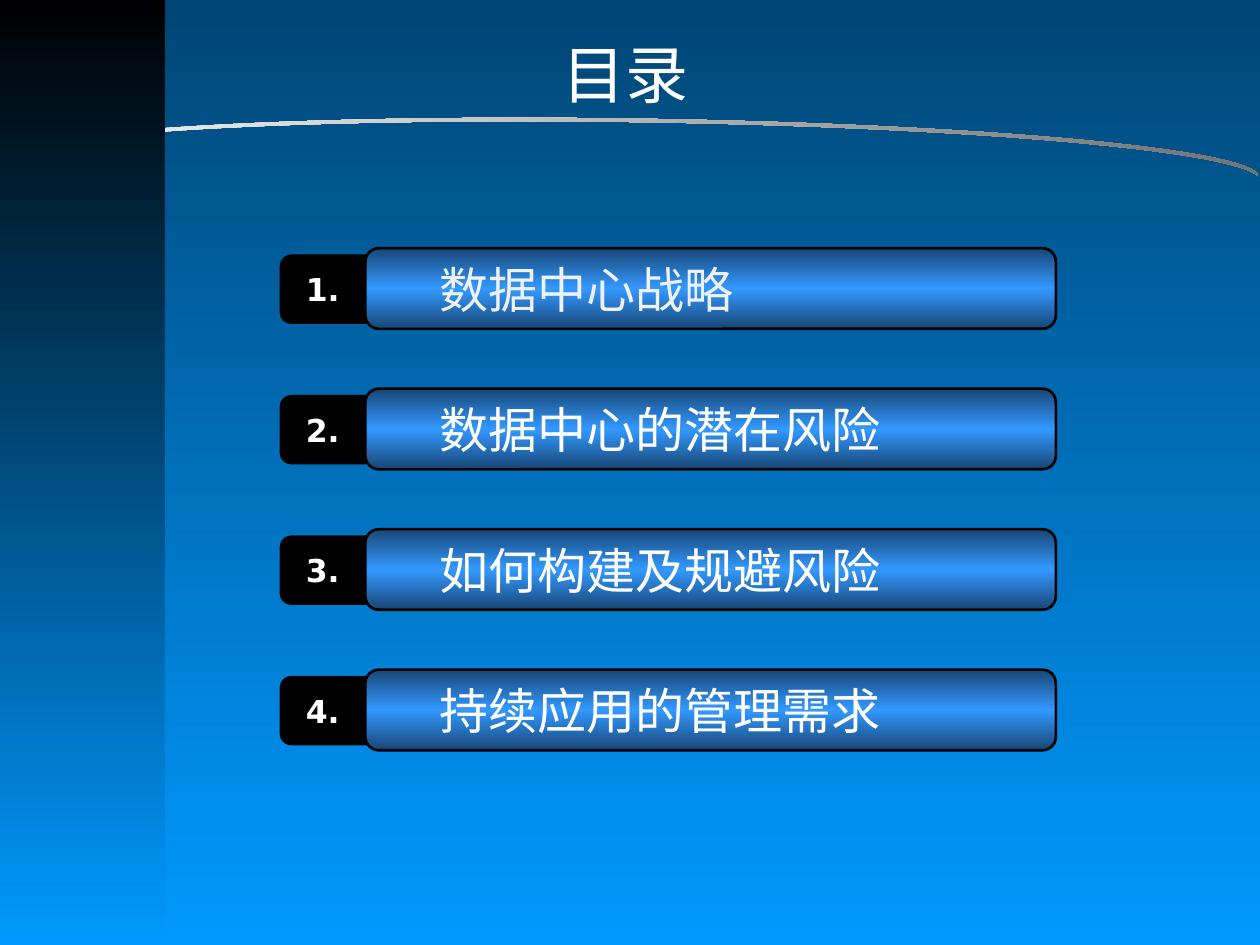
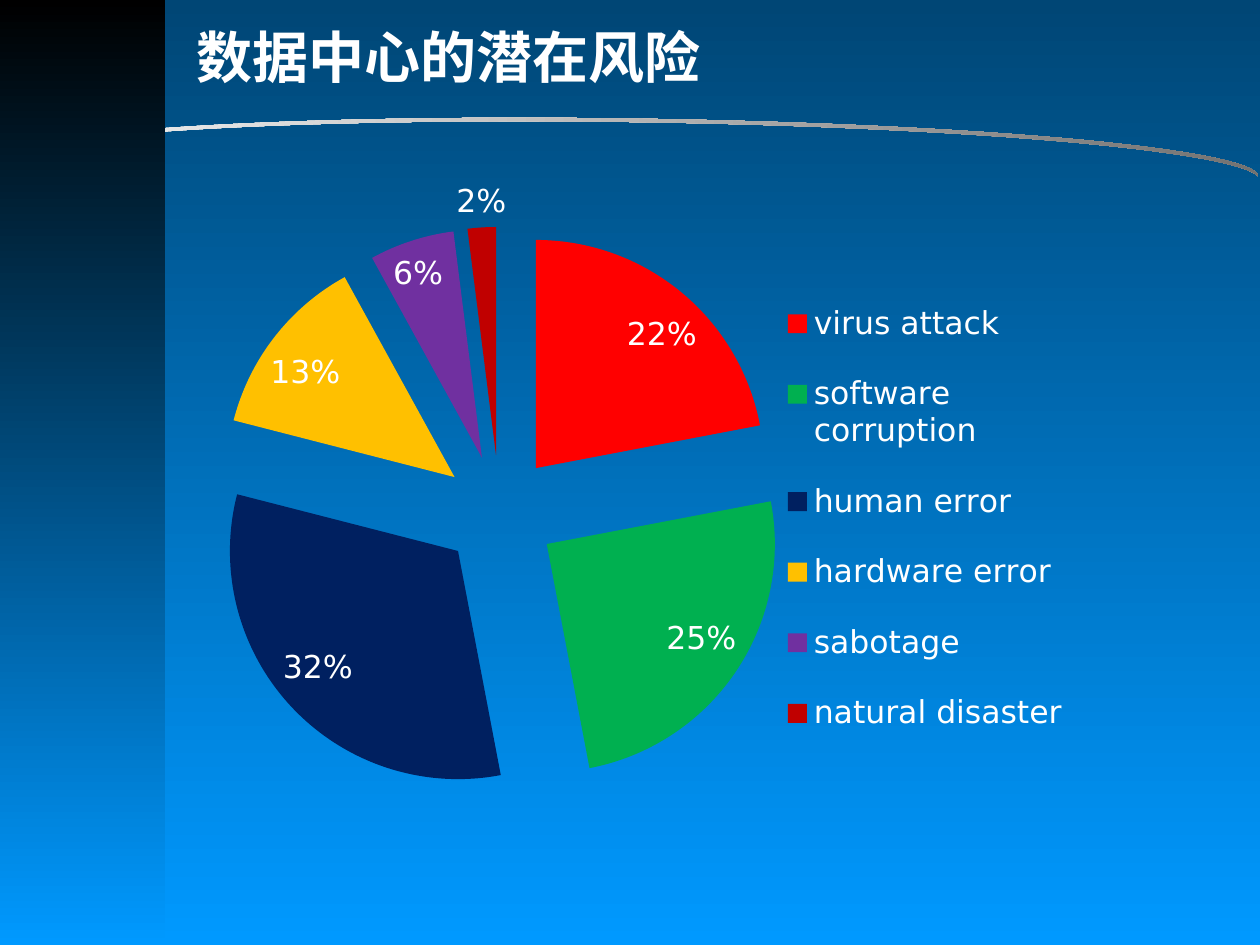
from copy import deepcopy

from lxml.etree import SubElement
from pptx import Presentation
from pptx.chart.data import CategoryChartData
from pptx.dml.color import RGBColor
from pptx.enum.chart import XL_CHART_TYPE as Kind
from pptx.enum.chart import XL_LABEL_POSITION as Spot
from pptx.enum.chart import XL_LEGEND_POSITION as Side
from pptx.enum.shapes import MSO_SHAPE as Form
from pptx.enum.text import MSO_ANCHOR as Anchor
from pptx.enum.text import PP_ALIGN as Align
from pptx.oxml import parse_xml
from pptx.oxml.ns import nsdecls, qn
from pptx.util import Inches, Pt

# Shared look
WHITE, BLACK, BLUE, NAVY = "FFFFFF", "000000", "0099FF", "004675"
SERIF, SANS, HAN = "Times New Roman", "DejaVu Sans", "Noto Sans CJK JP"
HEAD = {"name": SERIF, "size": Pt(36), "bold": False}
TITLE = {"name": SANS, "size": Pt(32), "bold": True}
MARK = {"name": SANS, "size": Pt(18), "bold": True}
ITEM = {"name": HAN, "size": Pt(28), "bold": False}
BODY = {"name": SANS, "size": Pt(18), "bold": False}

# Agenda rows: text and colour
ITEMS = [
    ("数据中心战略", "EFF1F9"),
    ("数据中心的潜在风险", WHITE),
    ("如何构建及规避风险", WHITE),
    ("持续应用的管理需求", WHITE),
]
TOP, PITCH = 1.97, 1.115

# Risk shares: name, value and colour
RISKS = [
    ("virus attack", 0.22, "FF0000"),
    ("software corruption", 0.25, "00B050"),
    ("human error", 0.32, "002060"),
    ("hardware error", 0.13, "FFC000"),
    ("sabotage", 0.06, "7030A0"),
    ("natural disaster", 0.02, "C00000"),
]


def color(code):
    return RGBColor.from_string(code)


def paint(fill, *codes):
    """Solid for one colour, downward gradient for more."""
    if len(codes) == 1:
        fill.solid()
        fill.fore_color.rgb = color(codes[0])
        return
    fill.gradient()
    fill.gradient_angle = 270
    stops = fill._xPr.find(".//" + qn("a:gsLst"))
    while len(stops) < len(codes):
        stops.append(deepcopy(stops[-1]))
    for i, (stop, code) in enumerate(zip(fill.gradient_stops, codes)):
        stop.color.rgb = color(code)
        stop.position = i / (len(codes) - 1)


def style(font, form, code=WHITE):
    for key, value in form.items():
        setattr(font, key, value)
    font.color.rgb = color(code)


def write(shape, text, form, code=WHITE, inset=0.1):
    frame = shape.text_frame
    layout = {"word_wrap": True, "vertical_anchor": Anchor.MIDDLE,
              "margin_left": Inches(inset)}
    for key, value in layout.items():
        setattr(frame, key, value)
    para = frame.paragraphs[0]
    para.alignment = Align.LEFT
    run = para.add_run()
    run.text = text
    style(run.font, form, code)
    SubElement(run.font._element, qn("a:ea"), typeface=HAN)


def add_form(slide, form, box, *codes):
    shape = slide.shapes.add_shape(form, *map(Inches, box))
    shape.shadow.inherit = False
    shape.line.fill.background()
    paint(shape.fill, *codes)
    return shape


def add_title(slide, text, box, form):
    write(slide.shapes.add_textbox(*map(Inches, box)), text, form)


def add_page(deck):
    """Blank slide with backdrop, arc and side band."""
    slide = deck.slides.add_slide(deck.slide_layouts[6])
    paint(slide.background.fill, NAVY, BLUE)
    arc = add_form(slide, Form.MOON, (4.8, -3.86, 0.39, 9.99),
                   "F8F8F8", "727272")
    arc.adjustments[0] = 0.07
    arc.rotation = 270.8
    arc._element.spPr.xfrm.set("flipH", "1")
    add_form(slide, Form.RECTANGLE, (0, 0, 1.31, 7.5), BLACK, BLUE)
    return slide


def add_item(slide, num, text, code):
    top = TOP + (num - 1) * PITCH
    tab = add_form(slide, Form.ROUNDED_RECTANGLE,
                   (2.22, top + 0.05, 1.69, 0.55), BLACK)
    write(tab, f"{num}.", MARK, inset=0.18)
    bar = add_form(slide, Form.ROUNDED_RECTANGLE, (2.9, top, 5.48, 0.64),
                   "174675", "3399FF", "174675")
    bar.line.width = Pt(1.5)
    paint(bar.line.fill, BLACK)
    write(bar, text, ITEM, code, inset=0.56)


def place(part, index, box, inner=False):
    """Fix the place of a chart part, in shares of the chart."""
    for old in part.findall(qn("c:layout")):
        part.remove(old)
    tags = [("xMode", "edge"), ("yMode", "edge"), *zip("xywh", box)]
    if inner:
        tags.insert(0, ("layoutTarget", "inner"))
    body = "".join(f'<c:{tag} val="{val}"/>' for tag, val in tags)
    part.insert(index, parse_xml(
        f'<c:layout {nsdecls("c")}><c:manualLayout>{body}'
        "</c:manualLayout></c:layout>"))


def add_pie(slide, risks, box):
    names, shares, codes = zip(*risks)
    data = CategoryChartData(number_format="0%")
    data.categories = names
    data.add_series("Series 1", shares)
    chart = slide.shapes.add_chart(Kind.PIE, *map(Inches, box), data).chart
    chart.has_title = False
    style(chart.font, BODY)

    # Slices
    plot = chart.plots[0]
    plot.vary_by_categories = True
    series = plot.series[0]
    burst = parse_xml(f'<c:explosion {nsdecls("c")} val="25"/>')
    series._element.find(qn("c:tx")).addnext(burst)
    for i, code in enumerate(codes):
        paint(series.points[i].format.fill, code)

    # Labels
    plot.has_data_labels = True
    labels = plot.data_labels
    form = {"show_value": True, "show_percentage": False,
            "number_format": "0%", "number_format_is_linked": False,
            "position": Spot.BEST_FIT}
    for key, value in form.items():
        setattr(labels, key, value)
    style(labels.font, BODY)

    # Legend and layout
    chart.has_legend = True
    legend = chart.legend
    legend.position = Side.RIGHT
    legend.include_in_layout = False
    style(legend.font, BODY)
    place(legend._element, 1, (0.63, 0.16, 0.32, 0.76))
    area = chart._chartSpace.chart.plotArea
    place(area, 0, (0.03, 0.09, 0.61, 0.88), inner=True)


def main():
    deck = Presentation()
    deck.slide_width, deck.slide_height = Inches(10), Inches(7.5)

    # Agenda
    page = add_page(deck)
    add_title(page, "目录", (4.37, 0.23, 1.8, 0.71), HEAD)
    for num, (text, code) in enumerate(ITEMS, 1):
        add_item(page, num, text, code)

    # Risks
    page = add_page(deck)
    add_pie(page, RISKS, (1.48, 1.33, 7.42, 5.16))
    add_title(page, "数据中心的潜在风险", (1.46, 0.11, 7.58, 0.67), TITLE)

    deck.save("out.pptx")


if __name__ == "__main__":
    main()
